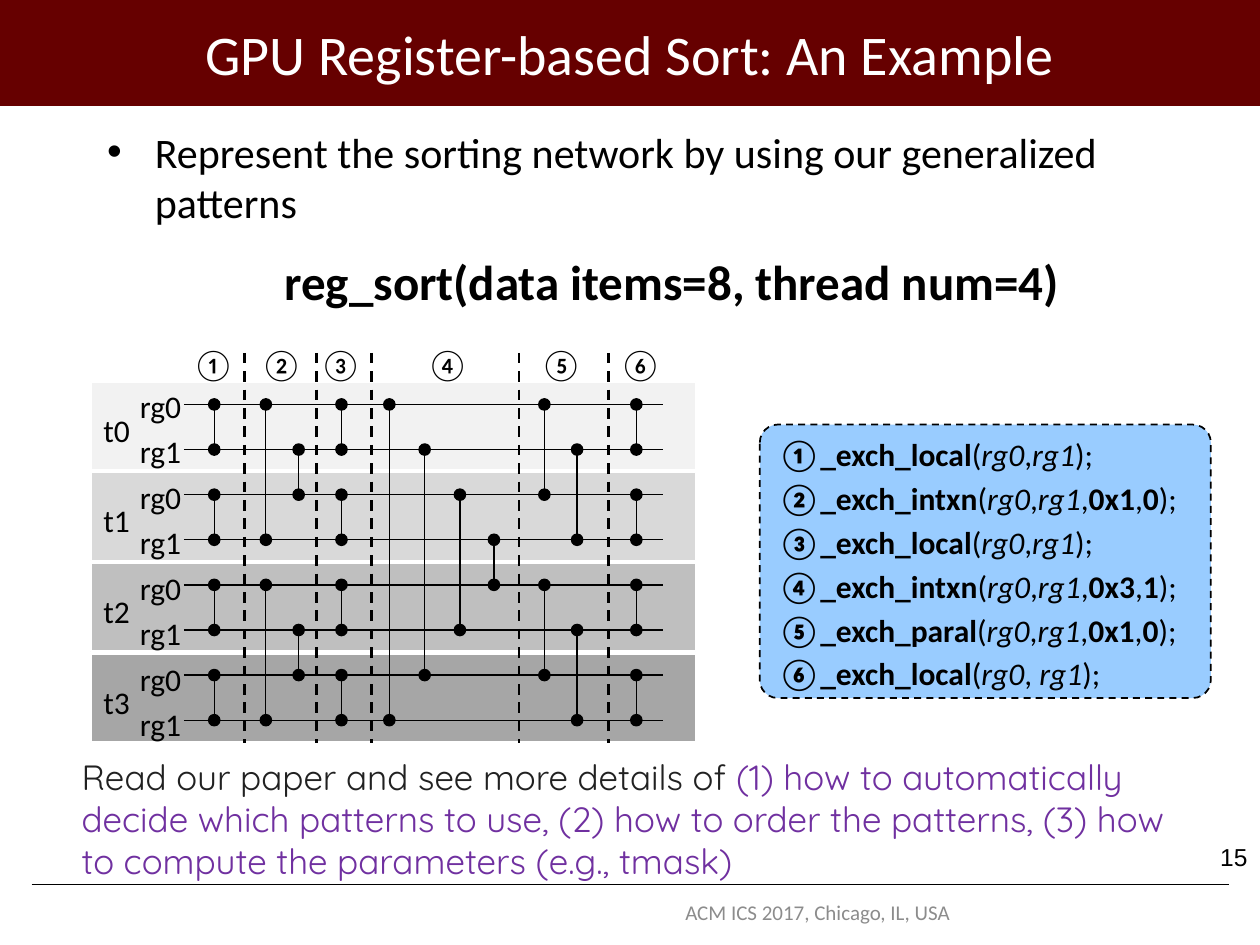
from dataclasses import dataclass

from lxml.etree import SubElement
from pptx import Presentation
from pptx.dml.color import RGBColor
from pptx.enum.dml import MSO_LINE
from pptx.enum.shapes import MSO_CONNECTOR, MSO_SHAPE
from pptx.enum.text import MSO_ANCHOR, MSO_AUTO_SIZE, PP_ALIGN
from pptx.oxml.ns import qn
from pptx.util import Inches, Pt


@dataclass(frozen=True)
class Theme:
    sans: str = "Calibri"
    plain: str = "Arial"
    note: str = "Quicksand"
    black: str = "000000"
    white: str = "FFFFFF"
    maroon: str = "660000"
    blue: str = "99CCFF"
    gray: str = "8C8C8C"
    ink: str = "212121"
    purple: str = "7030A0"
    bands: tuple = ("F2F2F2", "D9D9D9", "BFBFBF", "A6A6A6")
    title: int = 32
    call: int = 28
    body: int = 24
    remark: int = 20
    code: int = 18
    page: int = 14
    foot: int = 12


THEME = Theme()
MARKS = "①②③④⑤⑥"
LOCAL = ((0, 1), (2, 3), (4, 5), (6, 7))
LINKS = (
    (0.98, LOCAL),
    (1.39, ((0, 3), (4, 7))),
    (1.65, ((1, 2), (5, 6))),
    (1.99, LOCAL),
    (2.37, ((0, 7),)),
    (2.65, ((1, 6),)),
    (2.93, ((2, 5),)),
    (3.2, ((3, 4),)),
    (3.6, ((0, 2), (4, 6))),
    (3.86, ((1, 3), (5, 7))),
    (4.33, LOCAL),
)
MARK_XS = (0.71, 1.25, 1.72, 2.57, 3.47, 4.1)
SPLIT_XS = (1.22, 1.79, 2.23, 3.4, 4.11)
CALLS = (
    ("local", ",", ()),
    ("intxn", ",", ("0x1", "0")),
    ("local", ",", ()),
    ("intxn", ",", ("0x3", "1")),
    ("paral", ",", ("0x1", "0")),
    ("local", ", ", ()),
)


def tint(hue):
    return RGBColor.from_string(hue)


def add_run(para, text, size, hue=THEME.black, face=THEME.sans, bold=False, slant=False):
    run = para.add_run()
    run.text = text
    font = run.font
    font.name, font.size = face, Pt(size)
    font.bold, font.italic = bold, slant
    font.color.rgb = tint(hue)


def place(shape, left, top, width, height):
    shape.left, shape.top = Inches(left), Inches(top)
    shape.width, shape.height = Inches(width), Inches(height)


def add_text(shapes, left, top, width, height, wrap=True, inset=True):
    box = shapes.add_textbox(Inches(left), Inches(top), Inches(width), Inches(height))
    frame = box.text_frame
    frame.word_wrap = wrap
    frame.auto_size = MSO_AUTO_SIZE.NONE if wrap else MSO_AUTO_SIZE.SHAPE_TO_FIT_TEXT
    if not inset:
        frame.margin_left = frame.margin_right = 0
        frame.margin_top = frame.margin_bottom = 0
    return frame


def add_label(shapes, text, left, top, width, height, inset=False):
    frame = add_text(shapes, left, top, width, height, wrap=False, inset=inset)
    add_run(frame.paragraphs[0], text, THEME.code)


def add_form(shapes, kind, left, top, width, height, fill, edge=None, weight=0.75):
    form = shapes.add_shape(kind, Inches(left), Inches(top), Inches(width), Inches(height))
    form.shadow.inherit = False
    form.fill.solid()
    form.fill.fore_color.rgb = tint(fill)
    if edge:
        form.line.color.rgb = tint(edge)
        form.line.width = Pt(weight)
    else:
        form.line.fill.background()
    return form


def add_line(shapes, x1, y1, x2, y2, weight=0.75, dash=False):
    line = shapes.add_connector(
        MSO_CONNECTOR.STRAIGHT, Inches(x1), Inches(y1), Inches(x2), Inches(y2))
    line.line.color.rgb = tint(THEME.black)
    line.line.width = Pt(weight)
    if dash:
        line.line.dash_style = MSO_LINE.DASH
    SubElement(line.element.spPr, qn("a:effectLst"))


def add_head(slide, left, top, width, height):
    title = slide.shapes.title
    place(title, left + 0.75, top + 0.01, width - 1.5, height - 0.01)
    frame = title.text_frame
    frame.vertical_anchor = MSO_ANCHOR.MIDDLE
    frame.auto_size = MSO_AUTO_SIZE.NONE
    para = frame.paragraphs[0]
    para.alignment = PP_ALIGN.CENTER
    add_run(para, "GPU Register-based Sort: An Example", THEME.title, THEME.white)
    band = add_form(slide.shapes, MSO_SHAPE.RECTANGLE, left, top, width, height, THEME.maroon)
    title.element.addprevious(band.element)


def add_body(slide, left, top, width, height):
    body = slide.placeholders[1]
    place(body, left, top, width, height)
    body.text_frame.auto_size = MSO_AUTO_SIZE.NONE
    para = body.text_frame.paragraphs[0]
    props = para._p.get_or_add_pPr()
    props.set("marL", str(Inches(0.38)))
    props.set("indent", str(-Inches(0.38)))
    add_run(para, "Represent the sorting network by using our generalized patterns", THEME.body)


def add_call(slide, left, top, width, height):
    para = add_text(slide.shapes, left, top, width, height).paragraphs[0]
    para.alignment = PP_ALIGN.CENTER
    para.line_spacing = Pt(14)
    add_run(para, "reg_sort(data items=8, thread num=4)", THEME.call, bold=True)


def add_code(slide, left, top, width, height):
    card = add_form(slide.shapes, MSO_SHAPE.ROUNDED_RECTANGLE, left, top, width, height,
                    THEME.blue, THEME.black, 1)
    card.adjustments[0] = 0.066
    card.line.dash_style = MSO_LINE.DASH
    frame = add_text(slide.shapes, left + 0.05, top - 0.01, 3.39, height + 0.01, wrap=False)
    for row, (mark, (name, comma, extras)) in enumerate(zip(MARKS, CALLS)):
        para = frame.add_paragraph() if row else frame.paragraphs[0]
        para.line_spacing = Pt(25)
        add_run(para, f"{mark}_exch_{name}", THEME.code, bold=True)
        add_run(para, "(", THEME.code)
        add_run(para, "rg0", THEME.code, slant=True)
        add_run(para, comma, THEME.code)
        add_run(para, "rg1", THEME.code, slant=True)
        for extra in extras:
            add_run(para, ",", THEME.code)
            add_run(para, extra, THEME.code, bold=True)
        add_run(para, ");", THEME.code)


def add_sorter(slide, left, top, width, height):
    shapes = slide.shapes.add_group_shape().shapes
    dot, pitch = 0.09, 0.72
    wires = [top + 0.52 + 0.358 * row for row in range(8)]
    for row, fill in enumerate(THEME.bands):
        low = top + 0.34 + pitch * row
        add_form(shapes, MSO_SHAPE.RECTANGLE, left, low, width, 0.7, fill, THEME.white, 1)
        add_label(shapes, f"t{row}", left + 0.1, low + 0.23, 0.27, 0.3)
    for row, wire in enumerate(wires):
        add_label(shapes, f"rg{row % 2}", left + 0.39, top + 0.38 + 0.361 * row, 0.37, 0.3)
        add_line(shapes, left + 0.74, wire, left + 4.54, wire)
    for mark, x in zip(MARKS, MARK_XS):
        add_label(shapes, mark, left + x, top, 0.54, 0.4, inset=True)
    for x in SPLIT_XS:
        add_line(shapes, left + x, top + 0.11, left + x, top + height, 1.5, dash=True)
    for x, pairs in LINKS:
        mid = left + x
        for pair in pairs:
            start, end = (wires[row] for row in pair)
            add_line(shapes, mid, start, mid, end)
            for wire in (start, end):
                add_form(shapes, MSO_SHAPE.OVAL, mid - dot / 2, wire - dot / 2, dot, dot,
                         THEME.black, THEME.black)


def add_note(slide, left, top, width, height):
    para = add_text(slide.shapes, left, top, width, height).paragraphs[0]
    para.space_before = Pt(12)
    add_run(para, "Read our paper and see more details of ", THEME.remark, THEME.ink, THEME.note)
    add_run(para, "(1) how to automatically decide which patterns to use, (2) how to order "
            "the patterns, (3) how to compute the parameters (e.g., tmask)",
            THEME.remark, THEME.purple, THEME.note)


def add_foot(slide, left, top, width, height):
    add_line(slide.shapes, left + 0.25, top + 0.39, left + width - 0.25, top + 0.39, 0.25)
    page = add_text(slide.shapes, left + width - 0.5, top, 0.5, 0.5).paragraphs[0]
    page.alignment = PP_ALIGN.RIGHT
    add_run(page, "15", THEME.page, face=THEME.plain)
    venue = add_text(slide.shapes, left + 4.8, top + height - 0.41, 3.38, 0.29)
    venue.vertical_anchor = MSO_ANCHOR.MIDDLE
    para = venue.paragraphs[0]
    para.alignment = PP_ALIGN.CENTER
    add_run(para, "ACM ICS 2017, Chicago, IL, USA", THEME.foot, THEME.gray)


def main():
    deck = Presentation()
    deck.slide_width, deck.slide_height = Inches(10), Inches(7.5)
    slide = deck.slides.add_slide(deck.slide_layouts[1])
    add_head(slide, 0, 0, 10, 0.84)
    add_body(slide, 0.75, 0.95, 8.5, 5.95)
    add_foot(slide, 0, 6.63, 10, 0.87)
    add_call(slide, 2.06, 2.22, 6.54, 0.3)
    add_code(slide, 6.03, 3.37, 3.58, 2.17)
    add_sorter(slide, 0.72, 2.69, 4.8, 3.21)
    add_note(slide, 0.55, 5.95, 8.83, 1.11)
    deck.save("out.pptx")


if __name__ == "__main__":
    main()
